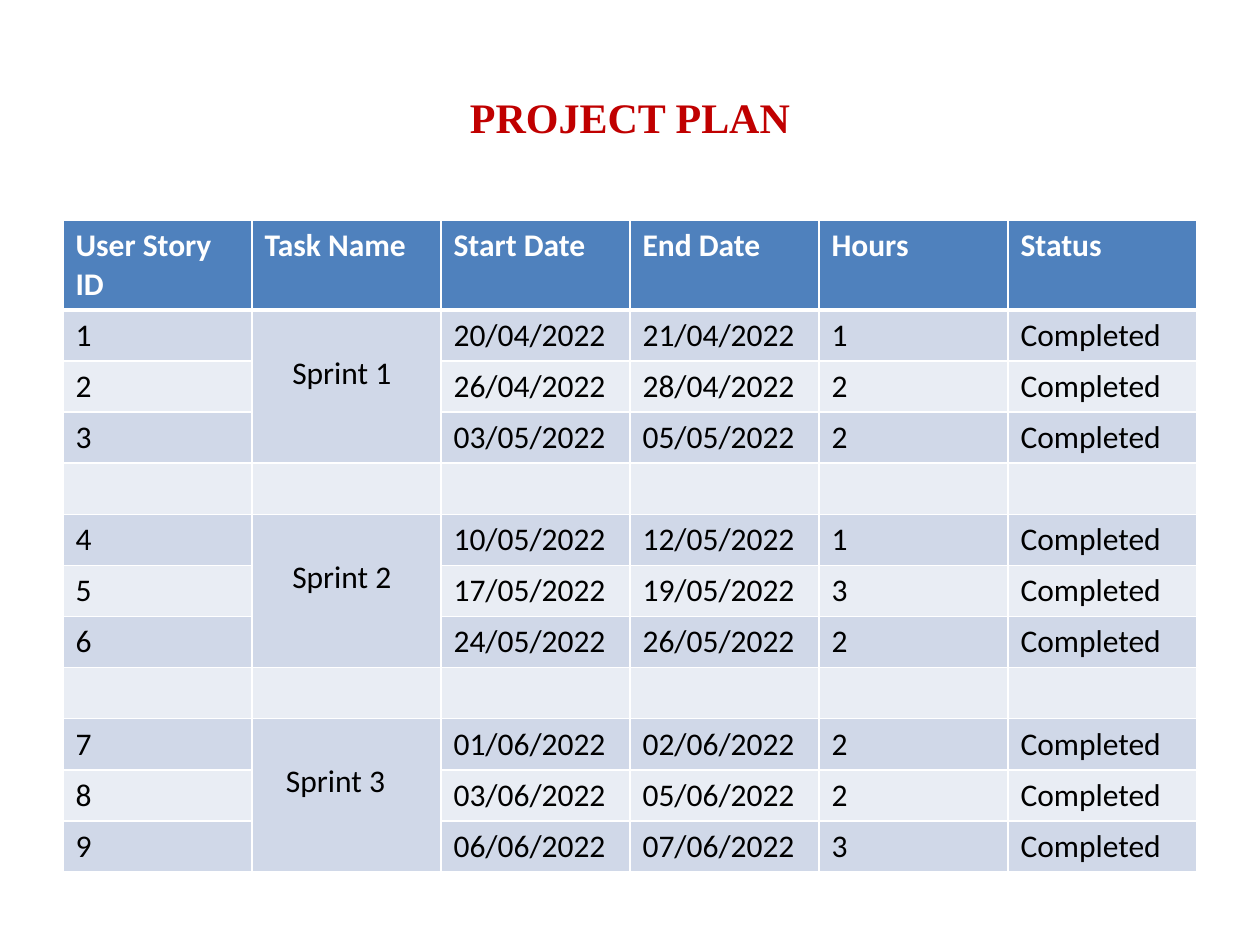
import pptx
import pptx.dml.color
import pptx.enum.text
import pptx.oxml
import pptx.oxml.ns
import pptx.util

THEME = {
    "title_font": "Times New Roman", "body_font": "Calibri",
    "title_size": 24, "body_size": 18,
    "title": "C00000", "header": "4F81BD", "header_text": "FFFFFF",
    "text": "000000", "bands": ("E9EDF4", "D0D8E8"), "border": "FFFFFF",
}

HEADINGS = ["User Story ID", "Task Name", "Start Date", "End Date", "Hours", "Status"]
# Sprint name, extra left indent in inches, then (start, end, hours) of each story
SPRINTS = [
    ("Sprint 1", 0.22, [("20/04/2022", "21/04/2022", "1"),
                        ("26/04/2022", "28/04/2022", "2"),
                        ("03/05/2022", "05/05/2022", "2")]),
    ("Sprint 2", 0.22, [("10/05/2022", "12/05/2022", "1"),
                        ("17/05/2022", "19/05/2022", "3"),
                        ("24/05/2022", "26/05/2022", "2")]),
    ("Sprint 3", 0.17, [("01/06/2022", "02/06/2022", "2"),
                        ("03/06/2022", "05/06/2022", "2"),
                        ("06/06/2022", "07/06/2022", "3")]),
]


def add_text(paragraph, text, font_name, size, color, bold):
    run = paragraph.add_run()
    run.text = text
    run.font.name = font_name
    run.font.size = pptx.util.Pt(size)
    run.font.bold = bold
    run.font.color.rgb = pptx.dml.color.RGBColor.from_string(color)


def style_cell(cell, fill, bottom_width):
    cell.fill.solid()
    cell.fill.fore_color.rgb = pptx.dml.color.RGBColor.from_string(fill)
    properties = cell._tc.get_or_add_tcPr()
    for position, side in enumerate("LRTB"):
        width = pptx.util.Pt(bottom_width if side == "B" else 1)
        properties.insert(position, pptx.oxml.parse_xml(
            f'<a:ln{side} {pptx.oxml.ns.nsdecls("a")} w="{width}"><a:solidFill>'
            f'<a:srgbClr val="{THEME["border"]}"/></a:solidFill></a:ln{side}>'))


presentation = pptx.Presentation()
presentation.slide_width = pptx.util.Inches(10)
presentation.slide_height = pptx.util.Inches(7.5)
slide = presentation.slides.add_slide(presentation.slide_layouts[6])

# Page grid
margin = presentation.slide_width // 20
content_width = presentation.slide_width - 2 * margin
row_height = pptx.util.Pt(29.2)
header_height = pptx.util.Inches(0.71)

# Title
title = slide.shapes.add_textbox(margin, pptx.util.Inches(0.3),
                                 content_width, pptx.util.Inches(1.25))
title.text_frame.word_wrap = True
title.text_frame.vertical_anchor = pptx.enum.text.MSO_ANCHOR.MIDDLE
paragraph = title.text_frame.paragraphs[0]
paragraph.alignment = pptx.enum.text.PP_ALIGN.CENTER
add_text(paragraph, "PROJECT PLAN", THEME["title_font"], THEME["title_size"],
         THEME["title"], True)

# Table rows: one empty row between sprints
rows = [HEADINGS]
merges = []
story = 0
for name, indent, stories in SPRINTS:
    if story:
        rows.append([""] * len(HEADINGS))
    merges.append((len(rows), len(rows) + len(stories) - 1, indent))
    for index, (start, end, hours) in enumerate(stories):
        story += 1
        rows.append([str(story), "" if index else name, start, end, hours, "Completed"])

# Project plan table
table = slide.shapes.add_table(
    len(rows), len(HEADINGS), margin, pptx.util.Inches(1.75), content_width,
    header_height + row_height * (len(rows) - 1)).table
for column in table.columns:
    column.width = content_width // len(HEADINGS)
for row_index, values in enumerate(rows):
    is_header = row_index == 0
    table.rows[row_index].height = header_height if is_header else row_height
    fill = THEME["header"] if is_header else THEME["bands"][row_index % 2]
    color = THEME["header_text"] if is_header else THEME["text"]
    for column_index, value in enumerate(values):
        cell = table.cell(row_index, column_index)
        style_cell(cell, fill, 3 if is_header else 1)
        if value:
            add_text(cell.text_frame.paragraphs[0], value, THEME["body_font"],
                     THEME["body_size"], color, is_header)

# Sprint names span their stories, one text line down
for first, last, indent in merges:
    cell = table.cell(first, 1)
    cell.merge(table.cell(last, 1))
    cell.margin_left = pptx.util.Inches(0.1 + indent)
    cell.margin_top = pptx.util.Inches(0.35)

presentation.save("out.pptx")
